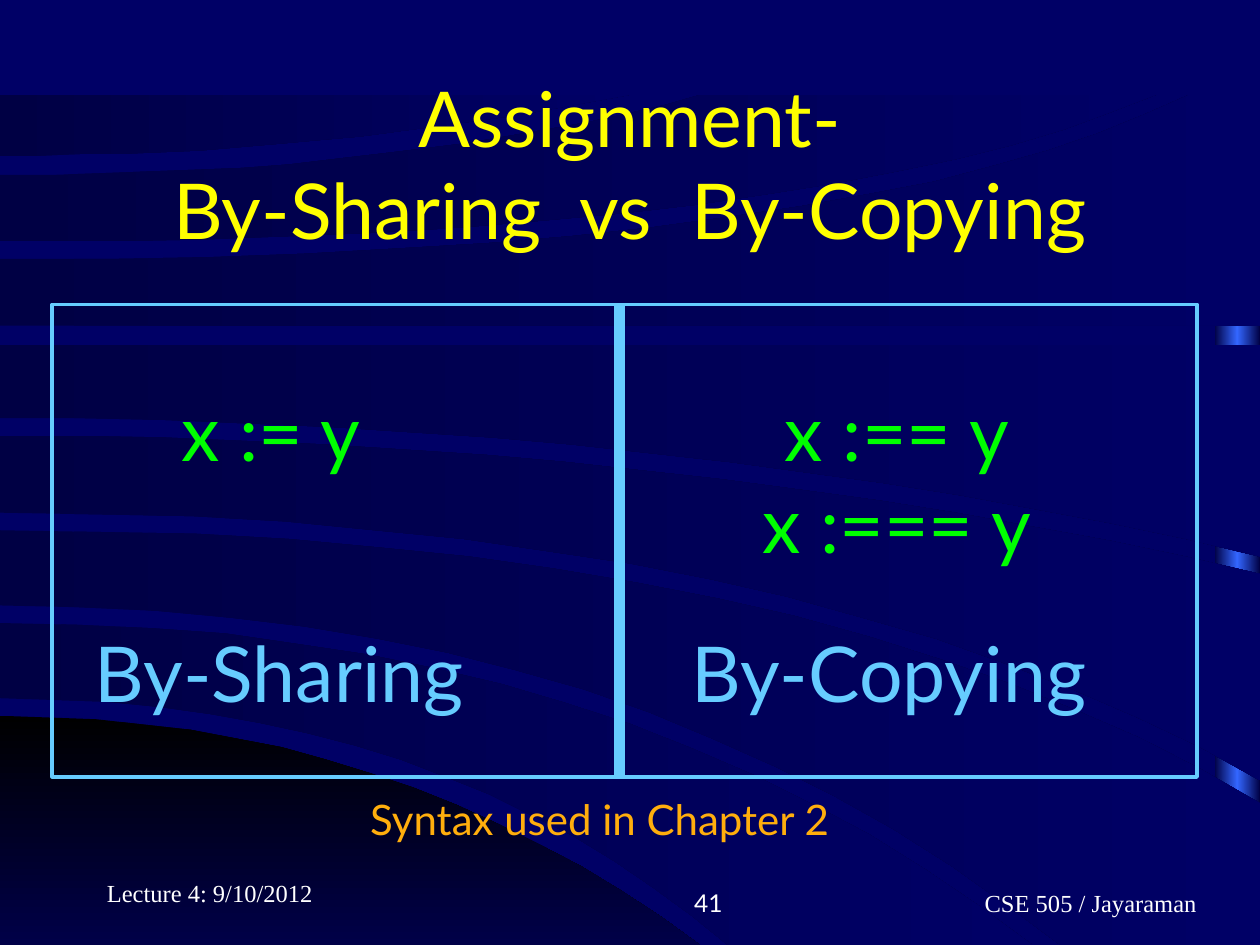
import dataclasses

import lxml.etree
import pptx
import pptx.dml.color
import pptx.enum.shapes
import pptx.enum.text
import pptx.oxml.ns
import pptx.util

Pt = pptx.util.Pt
Align = pptx.enum.text.PP_ALIGN
Anchor = pptx.enum.text.MSO_ANCHOR
AutoSize = pptx.enum.text.MSO_AUTO_SIZE

WIDTH, HEIGHT = 720, 540
TOP = 54  # upper limit of the backdrop
CURVE_STEPS = 16


@dataclasses.dataclass(frozen=True)
class Theme:
    navy: str = "000066"
    deep: str = "000044"
    bar: str = "3366FF"
    black: str = "000000"
    # Lower end of the corner's fade, where the page edge cuts it
    corner_end: str = "000048"
    title: str = "FFFF00"
    code: str = "00FF00"
    accent: str = "66CCFF"
    note: str = "FFAE0D"
    footer: str = "FFFFFF"
    sans: str = "Lato"
    serif: str = "Times New Roman"
    large: int = 44
    medium: int = 24
    small: int = 14


def rgb(color):
    return pptx.dml.color.RGBColor.from_string(color)


def edge(start, bend, end_x, end_y):
    """Points of a curve that leaves the left side level and bends to its end."""
    points = []
    for step in range(CURVE_STEPS + 1):
        t = step / CURVE_STEPS
        x = 2 * t * (1 - t) * bend + t * t * end_x
        points.append((x, start + t * t * (end_y - start)))
    return points


def level(y, end_x=WIDTH):
    return [(0, y), (end_x, y)]


# Upper and lower edge of each swath, from the bottom of the page to the top
SWATHS = [
    (edge(356, 354, 590, HEIGHT), edge(399, 250, 416, HEIGHT)),
    (edge(303, 460, WIDTH, 459) + [(WIDTH, HEIGHT)], edge(346, 364, 606, HEIGHT)),
    (edge(249, 377, WIDTH, 328), edge(293, 452, WIDTH, 446)),
    (level(197), edge(239, 384, WIDTH, 318)),
    (edge(148, 492, 680, TOP) + [(WIDTH, TOP)], level(186)),
    (edge(100, 231, 401, TOP), edge(138, 465, 661, TOP)),
    (level(TOP, 361), edge(89, 186, 361, TOP)),
]
CORNER = (edge(409, 223, 400, HEIGHT), [(0, HEIGHT)])


def write_text(frame, text, *, size, color, font, align=Align.LEFT,
               anchor=Anchor.TOP, wrap=True, auto_size=AutoSize.NONE):
    """Fill a text frame, one paragraph for each line of text."""
    frame.word_wrap = wrap
    frame.auto_size = auto_size
    frame.vertical_anchor = anchor
    for number, line in enumerate(text.split("\n")):
        para = frame.add_paragraph() if number else frame.paragraphs[0]
        para.alignment = align
        para.text = line
        for span in para.runs:
            span.font.size = Pt(size)
            span.font.name = font
            span.font.color.rgb = rgb(color)


class SlideBuilder:
    def __init__(self, page, theme):
        self.page = page
        self.theme = theme

    def background(self, color):
        fill = self.page.background.fill
        fill.solid()
        fill.fore_color.rgb = rgb(color)

    def gradient(self, shape, colors, angle=0):
        """Spread the colours evenly; the angle runs clockwise."""
        shape.shadow.inherit = False
        shape.line.fill.background()
        shape.fill.gradient()
        shape.fill.gradient_angle = -angle % 360
        tag = pptx.oxml.ns.qn
        stops = shape.element.spPr.find(".//" + tag("a:gsLst"))
        for stop in list(stops):
            stops.remove(stop)
        for number, color in enumerate(colors):
            position = str(100000 * number // (len(colors) - 1))
            stop = lxml.etree.SubElement(stops, tag("a:gs"), pos=position)
            lxml.etree.SubElement(stop, tag("a:srgbClr"), val=color)

    def swath(self, upper, lower, colors, angle=0):
        first, *rest = upper + lower[::-1]
        builder = self.page.shapes.build_freeform(*first, scale=Pt(1))
        builder.add_line_segments(rest, close=True)
        self.gradient(builder.convert_to_shape(), colors, angle)

    def rectangle(self, left, top, width, height):
        return self.page.shapes.add_shape(
            pptx.enum.shapes.MSO_SHAPE.RECTANGLE,
            Pt(left), Pt(top), Pt(width), Pt(height))

    def frame(self, left, top, width, height, color, weight):
        shape = self.rectangle(left, top, width, height)
        shape.shadow.inherit = False
        shape.fill.background()
        shape.line.color.rgb = rgb(color)
        shape.line.width = Pt(weight)

    def divider(self, x, top, bottom, color, weight):
        line = self.page.shapes.add_connector(
            pptx.enum.shapes.MSO_CONNECTOR.STRAIGHT,
            Pt(x), Pt(top), Pt(x), Pt(bottom))
        line.line.color.rgb = rgb(color)
        line.line.width = Pt(weight)
        lxml.etree.SubElement(line.element.spPr, pptx.oxml.ns.qn("a:effectLst"))

    def title(self, text, left, top, width, height):
        box = self.page.shapes.title
        box.left, box.top, box.width, box.height = map(Pt, (left, top, width, height))
        write_text(box.text_frame, text, size=self.theme.large, color=self.theme.title,
                   font=self.theme.sans, align=Align.CENTER, anchor=Anchor.MIDDLE)
        # Bring the title in front of the backdrop
        box.element.getparent().append(box.element)

    def text(self, text, left, top, width, height, **style):
        box = self.page.shapes.add_textbox(Pt(left), Pt(top), Pt(width), Pt(height))
        write_text(box.text_frame, text, **style)

    def label(self, text, left, top, width, height, color, size, align=Align.LEFT):
        self.text(text, left, top, width, height, size=size, color=color, align=align,
                  font=self.theme.sans, wrap=False, auto_size=AutoSize.SHAPE_TO_FIT_TEXT)

    def footer(self, text, left, top, width, font, align):
        self.text(text, left, top, width, 36, size=self.theme.small, font=font,
                  color=self.theme.footer, align=align, anchor=Anchor.BOTTOM)


def main():
    theme = Theme()
    deck = pptx.Presentation()
    deck.slide_width, deck.slide_height = Pt(WIDTH), Pt(HEIGHT)
    slide = SlideBuilder(deck.slides.add_slide(deck.slide_layouts[5]), theme)

    # Backdrop
    slide.background(theme.navy)
    slide.gradient(slide.rectangle(694, TOP, WIDTH - 694, HEIGHT - TOP),
                   [theme.deep, theme.bar, theme.deep])
    slide.swath(*CORNER, [theme.black, theme.corner_end], angle=90)
    for upper, lower in SWATHS:
        slide.swath(upper, lower, [theme.deep, theme.navy])

    slide.title("Assignment-\vBy-Sharing  vs  By-Copying", 54, 48, 612, 90)

    # Two-column comparison
    slide.label("x := y", 96.5, 216, 119.5, 60.5, theme.code, theme.large)
    slide.label("By-Sharing", 47, 354, 240, 60.5, theme.accent, theme.large)
    slide.divider(354, 174, 444, theme.accent, 6)
    slide.label("x :== y\nx :=== y", 427.5, 216, 170, 113, theme.code, theme.large,
                Align.CENTER)
    slide.label("By-Copying", 388, 354, 249, 60.5, theme.accent, theme.large)
    slide.frame(30, 174, 654, 270, theme.accent, 2.25)
    slide.label("Syntax used in Chapter 2", 204.5, 450, 294, 36, theme.note, theme.medium)

    # Footer
    slide.footer("Lecture 4: 9/10/2012", 54, 486, 150, theme.serif, Align.LEFT)
    slide.footer("41", 270, 492, 150, theme.sans, Align.RIGHT)
    slide.footer("CSE 505 / Jayaraman", 474, 492, 217, theme.serif, Align.RIGHT)

    deck.save("out.pptx")


if __name__ == "__main__":
    main()
